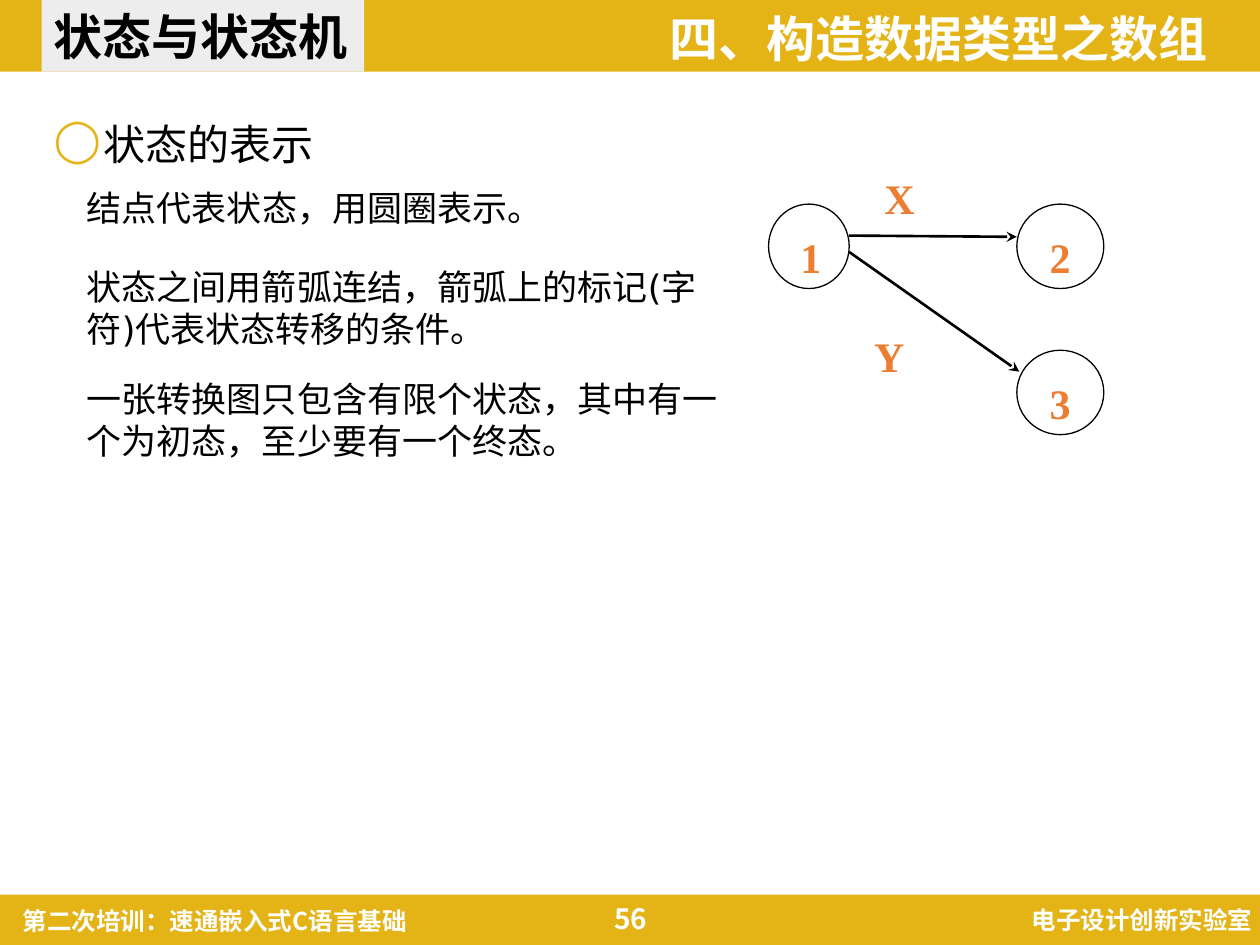
import pptx
import pptx.dml.color
import pptx.enum.shapes
import pptx.enum.text
import pptx.oxml
import pptx.oxml.ns
import pptx.util
from lxml import etree
from pptx.util import Inches

COLORS = {
    "gold": "E4B316",
    "gray": "EDEDED",
    "white": "FFFFFF",
    "black": "000000",
    "orange": "ED7D31",
}
SANS = "Noto Sans CJK SC"
BODY = "DejaVu Sans"
SERIF = "Times New Roman"
ALIGN = pptx.enum.text.PP_ALIGN
ANCHOR = pptx.enum.text.MSO_ANCHOR
SHAPES = pptx.enum.shapes.MSO_SHAPE


def color(name):
    return pptx.dml.color.RGBColor.from_string(COLORS[name])


def add_xml(parent, tag, **attributes):
    element = etree.SubElement(parent, pptx.oxml.ns.qn(tag))
    for key, value in attributes.items():
        element.set(key, value)
    return element


class SlideBuilder:
    def __init__(self, slide):
        self.slide = slide

    def label(self, shape, text, size, fill, font=SANS, bold=False,
              align=ALIGN.LEFT, anchor=ANCHOR.TOP, wrap=True):
        frame = shape.text_frame
        frame.text = text
        frame.word_wrap = wrap
        frame.vertical_anchor = anchor
        paragraph = frame.paragraphs[0]
        paragraph.alignment = align
        for run in paragraph.runs:
            run.font.size = pptx.util.Pt(size)
            run.font.bold = bold
            run.font.color.rgb = color(fill)
            run.font.name = font
            add_xml(run.font._element, "a:ea", typeface=SANS)
        return paragraph

    def text(self, box, text, size, fill, **style):
        shape = self.slide.shapes.add_textbox(*map(Inches, box))
        return self.label(shape, text, size, fill, **style)

    def shape(self, kind, box, fill=None, line=None):
        shape = self.slide.shapes.add_shape(kind, *map(Inches, box))
        shape.shadow.inherit = False
        if fill:
            shape.fill.solid()
            shape.fill.fore_color.rgb = color(fill)
        else:
            shape.fill.background()
        if line:
            shape.line.color.rgb = color(line)
            shape.line.width = pptx.util.Pt(0.75)
        else:
            shape.line.fill.background()
        return shape

    def state(self, box, name):
        shape = self.shape(SHAPES.OVAL, box, line="black")
        self.label(shape, name, 24, "orange", font=SERIF, bold=True, align=ALIGN.JUSTIFY)
        frame = shape.text_frame
        frame.margin_left = Inches(0.16)
        frame.margin_top = frame.margin_right = frame.margin_bottom = Inches(0.12)

    def arrow(self, start, end):
        connector = self.slide.shapes.add_connector(
            pptx.enum.shapes.MSO_CONNECTOR.STRAIGHT, *map(Inches, start + end))
        connector.line.color.rgb = color("black")
        connector.line.width = pptx.util.Pt(1.5)
        add_xml(connector.line._get_or_add_ln(), "a:tailEnd", type="stealth")
        add_xml(connector._element.spPr, "a:effectLst")

    def bullet(self, paragraph, character, fill, indent):
        properties = paragraph._element.get_or_add_pPr()
        properties.set("marL", str(Inches(indent)))
        properties.set("indent", str(-Inches(indent)))
        add_xml(add_xml(properties, "a:buClr"), "a:srgbClr", val=COLORS[fill])
        add_xml(properties, "a:buChar", char=character)


def main():
    presentation = pptx.Presentation()
    presentation.slide_width = Inches(10)
    presentation.slide_height = Inches(7.5)
    slide = presentation.slides.add_slide(presentation.slide_layouts[6])
    builder = SlideBuilder(slide)

    builder.shape(SHAPES.RECTANGLE, (0, 7.1, 10, 0.4), "gold")
    builder.shape(SHAPES.RECTANGLE, (0, 0, 10, 0.57), "gold")
    builder.text((6.9, 7.13, 3.14, 0.34), "电子设计创新实验室", 14, "white",
                 bold=True, align=ALIGN.RIGHT)
    builder.text((0.08, 7.14, 3.99, 0.34), "第二次培训：速通嵌入式C语言基础", 14, "white",
                 bold=True)
    builder.text((4.39, 7.09, 1.23, 0.4), "56", 16, "white", bold=True,
                 align=ALIGN.CENTER, anchor=ANCHOR.MIDDLE)

    chapter = builder.text((4.39, 0.07, 5.29, 0.46), "四、构造数据类型之数组", 28, "white",
                           bold=True, align=ALIGN.RIGHT)
    chapter.line_spacing = 0.9
    title = builder.shape(SHAPES.RECTANGLE, (0.33, 0, 2.56, 0.57), "gray")
    builder.label(title, "状态与状态机", 28, "black", bold=True,
                  anchor=ANCHOR.MIDDLE, wrap=False)

    heading = builder.text((0.33, 0.85, 9.35, 0.57), "状态的表示", 24, "black", font=SERIF)
    heading.line_spacing = pptx.util.Pt(32)
    builder.bullet(heading, "◯", "gold", 0.39)

    for box, name in [
        ((6.1, 1.62, 0.64, 0.67), "1"),
        ((8.07, 1.62, 0.69, 0.67), "2"),
        ((8.07, 2.78, 0.69, 0.67), "3"),
    ]:
        builder.state(box, name)
    builder.arrow((6.74, 1.87), (8.07, 1.88))
    builder.arrow((6.74, 2), (8.09, 2.95))
    for left, top, condition in [(6.92, 1.28, "X"), (6.84, 2.53, "Y")]:
        builder.text((left, top, 0.83, 0.58), condition, 24, "orange", font=SERIF,
                     bold=True, anchor=ANCHOR.MIDDLE, wrap=False)

    for top, width, height, font, text in [
        (1.43, 6.25, 0.44, SANS, "结点代表状态，用圆圈表示。"),
        (2.05, 5.2, 0.78, BODY, "状态之间用箭弧连结，箭弧上的标记(字符)代表状态转移的条件。"),
        (2.94, 5.3, 0.78, BODY, "一张转换图只包含有限个状态，其中有一个为初态，至少要有一个终态。"),
    ]:
        builder.text((0.59, top, width, height), text, 20, "black", font=font,
                     anchor=ANCHOR.MIDDLE)

    presentation.save("out.pptx")


if __name__ == "__main__":
    main()
